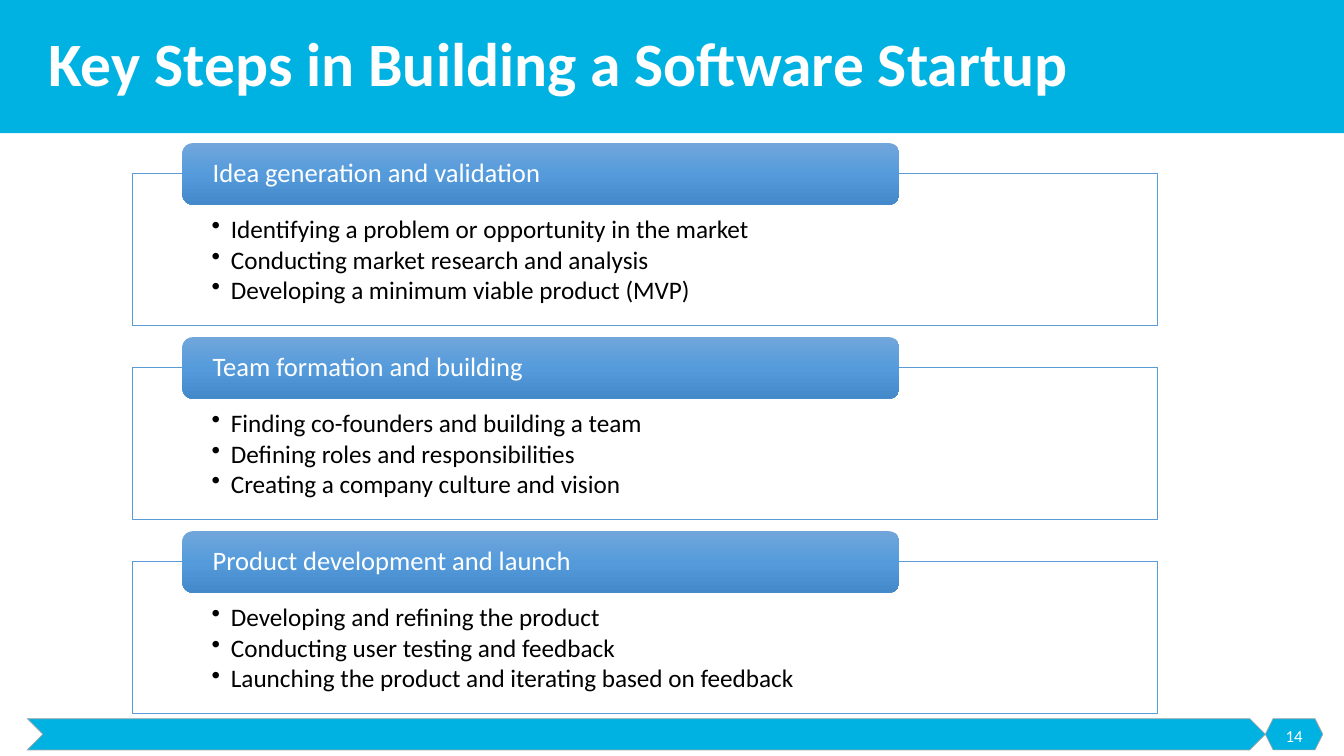
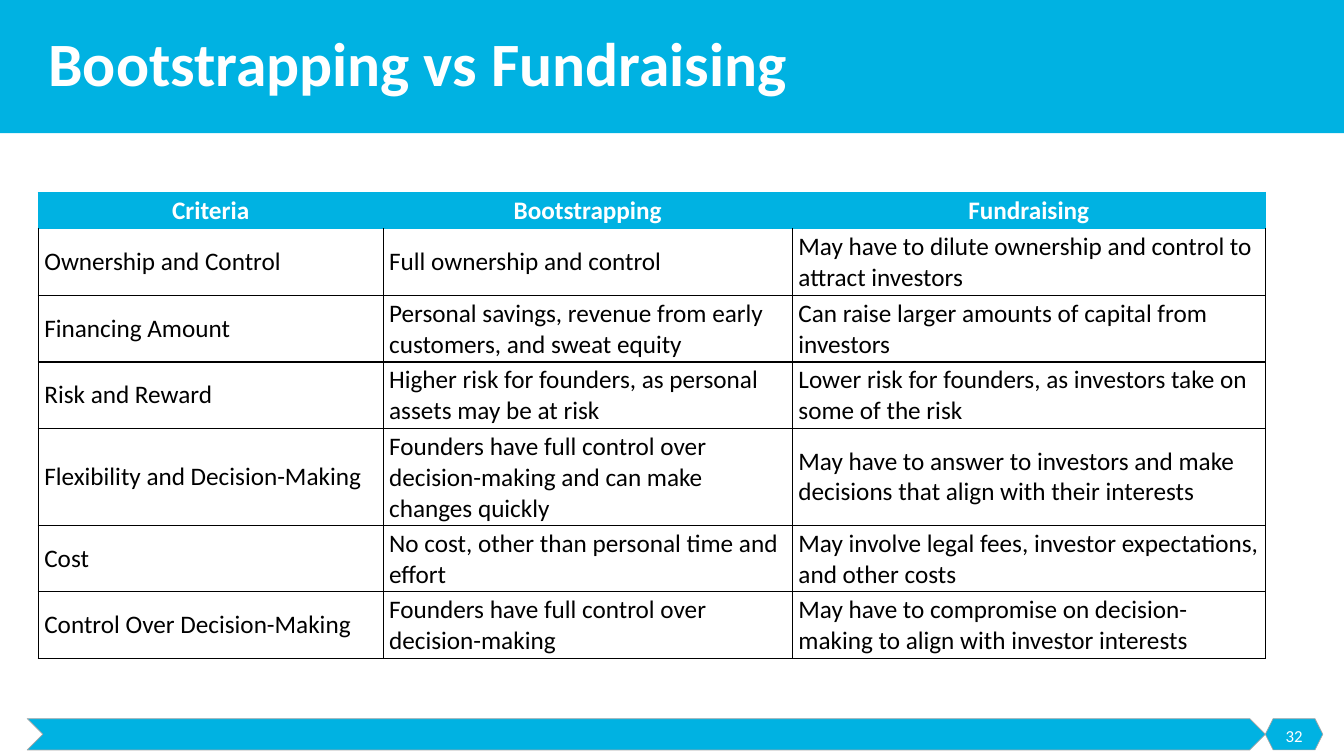
from copy import deepcopy

from pptx import Presentation
from pptx import util as u
from pptx.dml.color import RGBColor
from pptx.enum import shapes, text
from pptx.oxml import parse_xml
from pptx.oxml.ns import nsdecls, qn

PX = 9144  # 100 px to the inch
SLIDE_W, SLIDE_H = 1333, 750

FONT = "Calibri"
CYAN = RGBColor(0x00, 0xB2, 0xE2)
WHITE = RGBColor(0xFF, 0xFF, 0xFF)
BLACK = RGBColor(0x00, 0x00, 0x00)
GREY = RGBColor(0xA5, 0xA5, 0xA5)
BLUE = RGBColor(0x5B, 0x9B, 0xD5)
HEADER_STOPS = [
    RGBColor(0x71, 0xA6, 0xDB),
    RGBColor(0x55, 0x9B, 0xDB),
    RGBColor(0x44, 0x8A, 0xCA),
]

BAND = (0, 0, SLIDE_W, 132)
RIBBON = (27, 713, 1228, 31)
BADGE = (1255, 713, 57, 31)
TITLE = (38, 0, 1274, 132)
NUMBER = (1255, 710, 57, 40)

STEPS = [
    ("Idea generation and validation", [
        "Identifying a problem or opportunity in the market",
        "Conducting market research and analysis",
        "Developing a minimum viable product (MVP)"]),
    ("Team formation and building", [
        "Finding co-founders and building a team",
        "Defining roles and responsibilities",
        "Creating a company culture and vision"]),
    ("Product development and launch", [
        "Developing and refining the product",
        "Conducting user testing and feedback",
        "Launching the product and iterating based on feedback"]),
]

COMPARISON = [
    ("Criteria", "Bootstrapping", "Fundraising"),
    ("Ownership and Control", "Full ownership and control",
     "May have to dilute ownership and control to attract investors"),
    ("Financing Amount",
     "Personal savings, revenue from early customers, and sweat equity",
     "Can raise larger amounts of capital from investors"),
    ("Risk and Reward",
     "Higher risk for founders, as personal assets may be at risk",
     "Lower risk for founders, as investors take on some of the risk"),
    ("Flexibility and Decision-Making",
     "Founders have full control over decision-making and can make changes quickly",
     "May have to answer to investors and make decisions that align with their interests"),
    ("Cost", "No cost, other than personal time and effort",
     "May involve legal fees, investor expectations, and other costs"),
    ("Control Over Decision-Making",
     "Founders have full control over decision-making",
     "May have to compromise on decision-making to align with investor interests"),
]


def emu(lengths):
    return [round(length * PX) for length in lengths]


def add_box(page, kind, box, fill=None, line=None):
    shape = page.shapes.add_shape(kind, *emu(box))
    shape.shadow.inherit = False
    if fill is not None:
        shape.fill.solid()
        shape.fill.fore_color.rgb = fill
    if line is None:
        shape.line.fill.background()
    else:
        shape.line.color.rgb = line
        shape.line.width = u.Pt(0.5)
    return shape


def set_margins(target, left, top, right, bottom):
    (target.margin_left, target.margin_top,
     target.margin_right, target.margin_bottom) = emu((left, top, right, bottom))


def style_para(para, size, color, bold=False, align=text.PP_ALIGN.LEFT, spacing=1.0):
    para.alignment = align
    para.line_spacing = spacing
    for span in para.runs:
        span.font.name = FONT
        span.font.size = u.Pt(size)
        span.font.bold = bold
        span.font.color.rgb = color


def add_bullet(para, indent):
    props = para._p.get_or_add_pPr()
    props.set("marL", str(indent * PX))
    props.set("indent", str(-indent * PX))
    props.append(parse_xml(f'<a:buChar {nsdecls("a")} char="•"/>'))


def set_borders(cell, top, others):
    props = cell._tc.get_or_add_tcPr()
    for side, color in (("L", others), ("R", others), ("T", top), ("B", others)):
        props.append(parse_xml(
            f'<a:ln{side} {nsdecls("a")} w="12700"><a:solidFill>'
            f'<a:srgbClr val="{color}"/></a:solidFill></a:ln{side}>'))


def add_layout_bands(page, layout):
    """Draw the bands shared by all pages and hand them to the layout."""
    kinds = shapes.MSO_SHAPE
    bands = [
        add_box(page, kinds.RECTANGLE, BAND, CYAN),
        add_box(page, kinds.CHEVRON, RIBBON, CYAN, GREY),
        add_box(page, kinds.HEXAGON, BADGE, CYAN, GREY),
    ]
    first = layout.placeholders[0].element
    for number, band in enumerate(bands, 101):
        band.element.xpath(".//p:cNvPr")[0].set("id", str(number))
        first.addprevious(band.element)


def add_title_and_number(page, title, number):
    # Title
    holder = page.shapes.title
    holder.left, holder.top, holder.width, holder.height = emu(TITLE)
    frame = holder.text_frame
    frame.text = title
    frame.word_wrap = True
    frame.auto_size = text.MSO_AUTO_SIZE.NONE
    frame.vertical_anchor = text.MSO_ANCHOR.MIDDLE
    style_para(frame.paragraphs[0], 44, WHITE, bold=True, spacing=0.9)

    # Page number
    frame = page.shapes.add_textbox(*emu(NUMBER)).text_frame
    frame.text = str(number)
    frame.word_wrap = True
    frame.vertical_anchor = text.MSO_ANCHOR.MIDDLE
    style_para(frame.paragraphs[0], 12, WHITE, align=text.PP_ALIGN.CENTER)


def fill_gradient(shape, colors):
    fill = shape.fill
    fill.gradient()
    fill.gradient_angle = 270
    stops = shape.element.spPr.find(qn("a:gradFill")).find(qn("a:gsLst"))
    while len(stops) < len(colors):
        stops.append(deepcopy(stops[0]))
    for index, (stop, color) in enumerate(zip(fill.gradient_stops, colors)):
        stop.position = index / (len(colors) - 1)
        stop.color.rgb = color


def add_step(page, box, heading, points):
    left, top, width, height = box
    overlap = 30

    # Outlined frame with bullets
    panel = add_box(page, shapes.MSO_SHAPE.RECTANGLE,
                    (left, top + overlap, width, height - overlap), WHITE, BLUE)
    frame = panel.text_frame
    frame.text = "\n".join(points)
    frame.word_wrap = True
    frame.vertical_anchor = text.MSO_ANCHOR.TOP
    set_margins(frame, 79, 43, 79, 14)
    for para in frame.paragraphs:
        add_bullet(para, 19)
        style_para(para, 18, BLACK, spacing=0.9)
        para.space_after = u.Pt(2.4)

    # Heading tab, 70% of the frame's width
    tab = add_box(page, shapes.MSO_SHAPE.ROUNDED_RECTANGLE,
                  (left + width // 20, top, width * 7 // 10, 2 * overlap + 1))
    fill_gradient(tab, HEADER_STOPS)
    frame = tab.text_frame
    frame.text = heading
    frame.word_wrap = True
    frame.vertical_anchor = text.MSO_ANCHOR.MIDDLE
    set_margins(frame, 27, 0, 27, 0)
    style_para(frame.paragraphs[0], 19, WHITE, spacing=0.9)


def add_steps(page, box):
    left, top, width, height = box
    step_height = 181
    pitch = (height - step_height) / (len(STEPS) - 1)
    for index, (heading, points) in enumerate(STEPS):
        add_step(page, (left, top + index * pitch, width, step_height), heading, points)


def add_comparison(page, box, columns, rows):
    table = page.shapes.add_table(len(rows), len(columns), *emu(box)).table
    table.horz_banding = False
    for column, width in zip(table.columns, columns):
        column.width = width * PX
    for row, height in zip(table.rows, rows):
        row.height = height * PX
    for r, values in enumerate(COMPARISON):
        header = r == 0
        for c, value in enumerate(values):
            cell = table.cell(r, c)
            set_borders(cell, CYAN if r < 2 else BLACK, CYAN if header else BLACK)
            cell.fill.solid()
            cell.fill.fore_color.rgb = CYAN if header else WHITE
            cell.vertical_anchor = text.MSO_ANCHOR.MIDDLE
            set_margins(cell, 6, 3, 6, 3)
            cell.text = value
            style_para(cell.text_frame.paragraphs[0], 18,
                       WHITE if header else BLACK, bold=header,
                       align=text.PP_ALIGN.CENTER if header else text.PP_ALIGN.LEFT)


def main():
    deck = Presentation()
    deck.slide_width, deck.slide_height = emu((SLIDE_W, SLIDE_H))
    layout = deck.slide_layouts[5]

    steps_page = deck.slides.add_slide(layout)
    add_layout_bands(steps_page, layout)
    add_title_and_number(steps_page, "Key Steps in Building a Software Startup", 14)
    add_steps(steps_page, (131, 142, 1017, 566))

    table_page = deck.slides.add_slide(layout)
    add_title_and_number(table_page, "Bootstrapping vs Fundraising", 32)
    add_comparison(table_page, (38, 191, 1217, 462),
                   (342, 406, 469), (36, 66, 66, 66, 96, 66, 66))

    deck.save("out.pptx")


if __name__ == "__main__":
    main()
